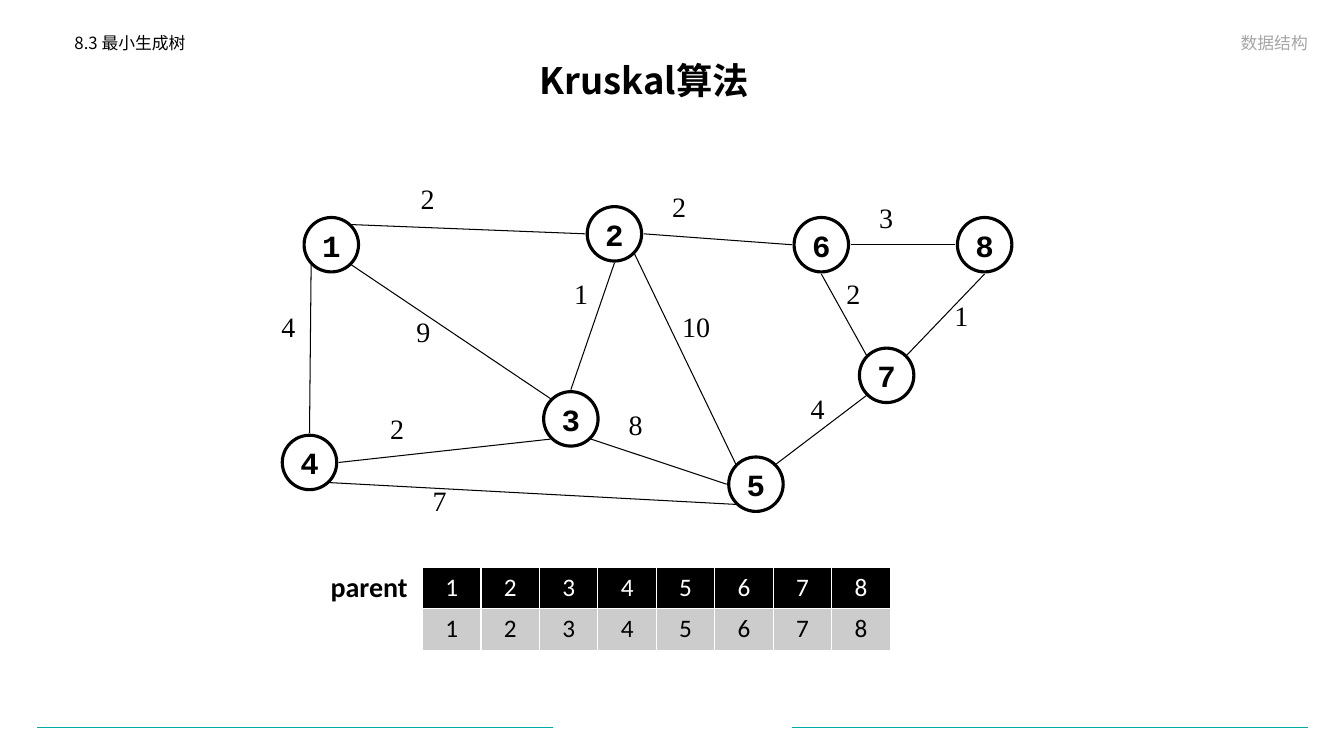
import pptx
import pptx.util
import pptx.dml.color
import pptx.enum.shapes
import pptx.enum.text
import pptx.oxml.ns
import lxml.etree

inch = pptx.util.Inches
Shape = pptx.enum.shapes.MSO_SHAPE
Align = pptx.enum.text.PP_ALIGN
Anchor = pptx.enum.text.MSO_ANCHOR
AutoSize = pptx.enum.text.MSO_AUTO_SIZE
qn = pptx.oxml.ns.qn

BLACK, WHITE, GREY, TEAL = "000000", "FFFFFF", "CCCCCC", "00ABA5"
CJK = "Noto Sans CJK SC"


def paint(fill, colour):
    """Make a fill solid in a hex colour."""
    fill.solid()
    fill.fore_color.rgb = pptx.dml.color.RGBColor.from_string(colour)


def write(frame, text, size, font, colour=BLACK, bold=False, align=Align.LEFT):
    para = frame.paragraphs[0]
    para.alignment = align
    span = para.add_run()
    span.text = text
    span.font.size = pptx.util.Pt(size)
    span.font.bold = bold
    span.font.name = font
    paint(span.font.fill, colour)
    east_asian = lxml.etree.SubElement(span.font._element, qn("a:ea"))
    east_asian.set("typeface", font)
    return para


deck = pptx.Presentation()
deck.slide_width, deck.slide_height = inch(13.33), inch(7.5)
page = deck.slides.add_slide(deck.slide_layouts[6])
shapes = page.shapes

# Section, course and slide title
headings = [
    ("8.3 最小生成树", 0.64, 0.3, 5.32, 0.36, 12, BLACK, False, Align.LEFT, Anchor.TOP, 0.9),
    ("数据结构", 7.43, 0.22, 5.64, 0.35, 12, "A6A6A6", False, Align.RIGHT, Anchor.BOTTOM, 1.0),
    ("Kruskal算法", 0.64, 0.54, 11.5, 0.57, 26, BLACK, True, Align.CENTER, Anchor.MIDDLE, 0.9),
]
for text, left, top, width, height, size, colour, bold, align, anchor, spacing in headings:
    box = shapes.add_textbox(inch(left), inch(top), inch(width), inch(height))
    box.text_frame.word_wrap = True
    box.text_frame.vertical_anchor = anchor
    write(box.text_frame, text, size, CJK, colour, bold, align).line_spacing = spacing

# Graph grid: its origin is the centre column of node 4 and the centre row of node 2
LEFT, TOP, STEP = 3.07, 2.32, 0.108
nodes = {1: (2, 1), 2: (28, 0), 3: (24, 17), 4: (0, 21),
         5: (41, 23), 6: (47, 1), 7: (53, 13), 8: (62, 1)}
DIAMETER = 5 * STEP

# Points on the ring around a node where edges end
AXIS, DIAGONAL = 0.29, 0.2
ports = {"N": (0, -AXIS), "S": (0, AXIS), "E": (AXIS, 0), "W": (-AXIS, 0),
         "NE": (DIAGONAL, -DIAGONAL), "NW": (-DIAGONAL, -DIAGONAL),
         "SE": (DIAGONAL, DIAGONAL), "SW": (-DIAGONAL, DIAGONAL)}

# Node and port at each end, weight, grid position of the weight
edges = [
    (1, "NE", 2, "W", 2, 9.3, -5.3),
    (2, "S", 3, "N", 1, 23.4, 3.5),
    (4, "E", 3, "SW", 2, 6.5, 15.9),
    (1, "SW", 4, "N", 4, -3.5, 6.5),
    (3, "SE", 5, "W", 8, 28.4, 15.5),
    (5, "SW", 4, "SE", 7, 10.4, 22.5),
    (7, "NW", 6, "S", 2, 48.4, 3.5),
    (6, "E", 8, "W", 3, 51.4, -3.5),
    (8, "S", 7, "NE", 1, 58.3, 5.5),
    (2, "E", 6, "W", 2, 32.4, -4.5),
    (2, "SE", 5, "NW", 10, 33.3, 6.5),
    (1, "SE", 3, "NW", 9, 8.9, 7),
    (5, "NE", 7, "SW", 4, 45.1, 14),
]

# Nodes
for number, (column, row) in nodes.items():
    node = shapes.add_shape(
        Shape.OVAL, inch(LEFT + column * STEP - DIAMETER / 2),
        inch(TOP + row * STEP - DIAMETER / 2), inch(DIAMETER), inch(DIAMETER))
    node.shadow.inherit = False
    paint(node.fill, WHITE)
    paint(node.line.fill, BLACK)
    node.line.width = pptx.util.Pt(2.25)
    node.text_frame.word_wrap = False
    node.text_frame.vertical_anchor = Anchor.MIDDLE
    write(node.text_frame, str(number), 22, "Courier New", BLACK, True, Align.CENTER)

# All straight lines: graph edges, then the two footer rules
lines = []
for start, start_port, end, end_port, *label in edges:
    points = []
    for number, port in ((start, start_port), (end, end_port)):
        (column, row), (shift_x, shift_y) = nodes[number], ports[port]
        points += [LEFT + column * STEP + shift_x, TOP + row * STEP + shift_y]
    lines.append((points, BLACK, 0.75))
lines += [((right, 7.22, right - 5.11, 7.22), TEAL, 0.5) for right in (5.48, 12.97)]
for points, colour, width in lines:
    line = shapes.add_connector(pptx.enum.shapes.MSO_CONNECTOR.STRAIGHT,
                                *[inch(value) for value in points])
    paint(line.line.fill, colour)
    line.line.width = pptx.util.Pt(width)
    lxml.etree.SubElement(line._element.spPr, qn("a:effectLst"))
    # Without the theme style the line keeps only its own colour
    line._element.remove(line._element.find(qn("p:style")))

# Edge weights and the table's label
labels = [(str(weight), LEFT + column * STEP, TOP + row * STEP,
           0.2 + 0.14 * len(str(weight)), 0.43, "Times New Roman", False)
          for *ends, weight, column, row in edges]
labels.append(("parent", 3.18, 5.6, 0.97, 0.44, "Calibri", True))
for text, left, top, width, height, font, bold in labels:
    box = shapes.add_textbox(inch(left), inch(top), inch(width), inch(height))
    box.text_frame.word_wrap = False
    box.text_frame.auto_size = AutoSize.SHAPE_TO_FIT_TEXT
    write(box.text_frame, text, 20, font, BLACK, bold)

# Parent table: each node starts as its own parent
COLUMN, ROW = 0.58, 0.41
table = shapes.add_table(2, len(nodes), inch(4.19), inch(5.63),
                         inch(COLUMN * len(nodes)), inch(ROW * 2)).table
for row, (fill, colour) in enumerate([(BLACK, WHITE), (GREY, BLACK)]):
    for column, number in enumerate(nodes):
        cell = table.cell(row, column)
        write(cell.text_frame, str(number), 18, "Calibri", colour, False, Align.CENTER)
        properties = cell._tc.get_or_add_tcPr()
        for side in ("a:lnL", "a:lnR", "a:lnT", "a:lnB"):
            border = lxml.etree.SubElement(properties, qn(side), w="12700")
            solid = lxml.etree.SubElement(border, qn("a:solidFill"))
            lxml.etree.SubElement(solid, qn("a:srgbClr"), val=WHITE)
        paint(cell.fill, fill)

deck.save("out.pptx")
